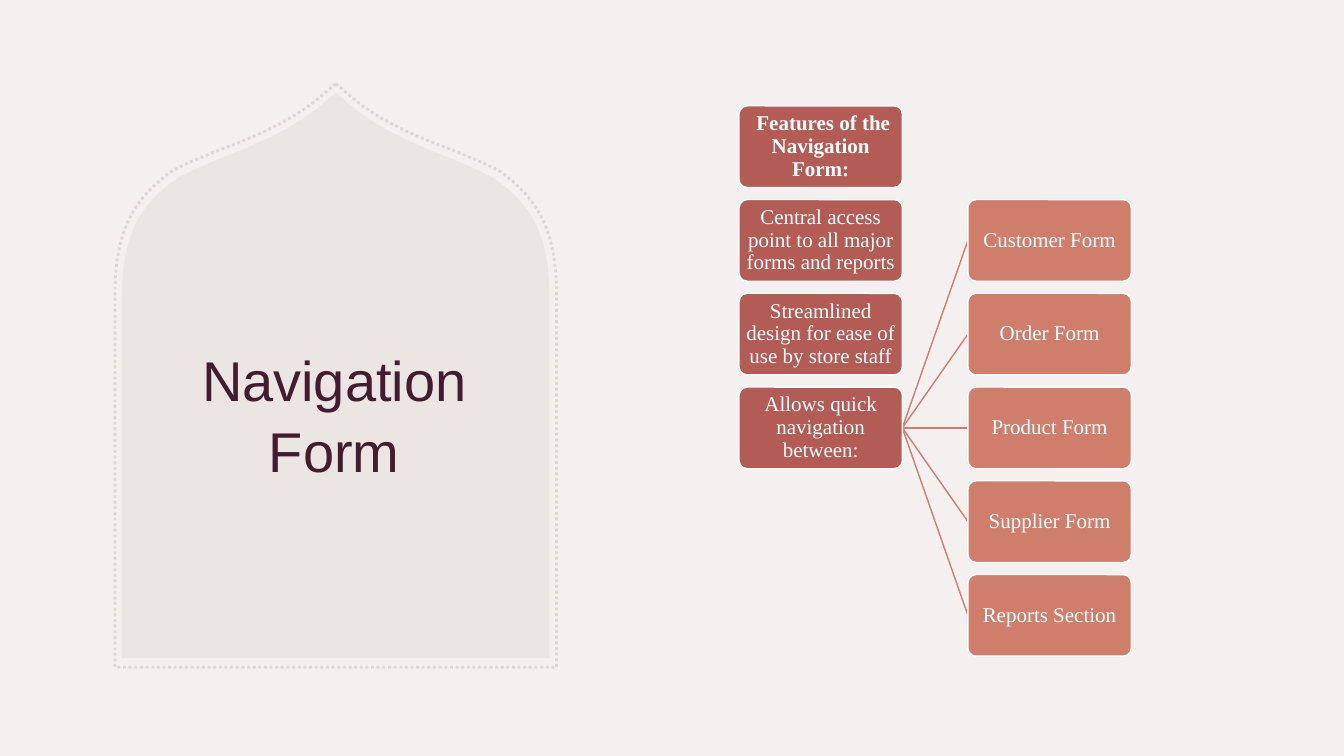
from pptx import Presentation
from pptx.dml.color import RGBColor
from pptx.enum.dml import MSO_LINE
from pptx.enum.shapes import MSO_CONNECTOR, MSO_SHAPE
from pptx.enum.text import MSO_ANCHOR, PP_ALIGN
from pptx.oxml.ns import qn
from pptx.util import Inches, Pt
from lxml import etree

ROUNDED = MSO_SHAPE.ROUNDED_RECTANGLE
STRAIGHT = MSO_CONNECTOR.STRAIGHT
DOTTED = MSO_LINE.ROUND_DOT
MIDDLE = MSO_ANCHOR.MIDDLE
CENTER = PP_ALIGN.CENTER

THEME = {
    "background": RGBColor.from_string("F3F0EF"),
    "arch": RGBColor.from_string("EBE6E4"),
    "arch_line": RGBColor.from_string("DED6D3"),
    "title": RGBColor.from_string("431C30"),
    "feature": RGBColor.from_string("B35B55"),
    "form": RGBColor.from_string("CF7E6C"),
    "white": RGBColor.from_string("FFFFFF"),
    "title_font": "Arial",
    "body_font": "Times New Roman",
    "title_size": Pt(40),
    "body_size": Pt(15),
}


def add_arch(shapes, center, apex, shoulder, curves, bottom):
    half = [(0, apex), shoulder]
    for c1, c2, end in curves:
        start = half[-1]
        for step in range(1, 17):
            t = step / 16
            weights = ((1 - t) ** 3, 3 * t * (1 - t) ** 2, 3 * t * t * (1 - t), t ** 3)
            controls = (start, c1, c2, end)
            half.append(tuple(sum(w * c[axis] for w, c in zip(weights, controls))
                              for axis in (0, 1)))
    half.append((half[-1][0], bottom))
    outline = half + [(-dx, y) for dx, y in reversed(half[1:])]
    points = [(Inches(center + dx), Inches(y)) for dx, y in outline]
    builder = shapes.build_freeform(*points[0])
    builder.add_line_segments(points[1:], close=True)
    sp = builder.convert_to_shape()
    sp.shadow.inherit = False
    return sp


def write_text(tf, text, margin, spacing, fmt):
    tf.word_wrap = True
    tf.vertical_anchor = MIDDLE
    for side in ("left", "right", "top", "bottom"):
        setattr(tf, f"margin_{side}", Inches(margin))
    p = tf.paragraphs[0]
    p.alignment = CENTER
    p.line_spacing = spacing
    r = p.add_run()
    r.text = text
    r.font.color.rgb = fmt["color"]
    for name in ("name", "size", "bold"):
        setattr(r.font, name, fmt[name])


prs = Presentation()
prs.slide_width, prs.slide_height = Inches(13.33), Inches(7.5)
s = prs.slides.add_slide(prs.slide_layouts[6])
s.background.fill.solid()
s.background.fill.fore_color.rgb = THEME["background"]

arch = add_arch(s.shapes, 3.33, 0.92, (0.19, 1.08), [
    ((0.65, 1.44), (1.17, 1.54), (1.57, 1.77)),
    ((1.95, 2.03), (2.12, 2.34), (2.12, 2.95)),
], 6.53)
arch.fill.solid()
arch.fill.fore_color.rgb = THEME["arch"]
arch.line.fill.background()

border = add_arch(s.shapes, 3.33, 0.83, (0.2, 1), [
    ((0.67, 1.37), (1.21, 1.47), (1.63, 1.7)),
    ((2.01, 1.98), (2.19, 2.29), (2.19, 2.92)),
], 6.62)
border.fill.background()
border.line.color.rgb = THEME["arch_line"]
border.line.width = Pt(2)
border.line.dash_style = DOTTED

title = s.shapes.add_textbox(Inches(1.61), Inches(2.52), Inches(3.41), Inches(3.15))
write_text(title.text_frame, "Navigation Form", 0.1, 1.05, {
    "name": THEME["title_font"], "size": THEME["title_size"],
    "bold": False, "color": THEME["title"],
})

NODE_W, NODE_H, PITCH, TOP = 1.62, 0.81, 0.93, 1.05
FEATURE_X, FORM_X = 7.33, 9.6
features = [
    " Features of the Navigation Form:",
    "Central access point to all major forms and reports",
    "Streamlined design for ease of use by store staff",
    "Allows quick navigation between:",
]
forms = ["Customer Form", "Order Form", "Product Form", "Supplier Form", "Reports Section"]

hub_y = TOP + (len(features) - 1) * PITCH + NODE_H / 2
for row in range(1, len(forms) + 1):
    link = s.shapes.add_connector(
        STRAIGHT, Inches(FEATURE_X + NODE_W), Inches(hub_y),
        Inches(FORM_X), Inches(TOP + row * PITCH + NODE_H / 2))
    link.line.color.rgb = THEME["form"]
    link.line.width = Pt(1)
    etree.SubElement(link._element.spPr, qn("a:effectLst"))

for x, first_row, color, labels in (
    (FEATURE_X, 0, "feature", features),
    (FORM_X, 1, "form", forms),
):
    for row, label in enumerate(labels, first_row):
        sp = s.shapes.add_shape(ROUNDED, Inches(x), Inches(TOP + row * PITCH),
                                Inches(NODE_W), Inches(NODE_H))
        sp.adjustments[0] = 0.1
        sp.shadow.inherit = False
        sp.fill.solid()
        sp.fill.fore_color.rgb = THEME[color]
        sp.line.color.rgb = THEME["white"]
        sp.line.width = Pt(1)
        write_text(sp.text_frame, label, 0.03, 0.9, {
            "name": THEME["body_font"], "size": THEME["body_size"],
            "bold": row == 0, "color": THEME["white"],
        })

prs.save("out.pptx")
